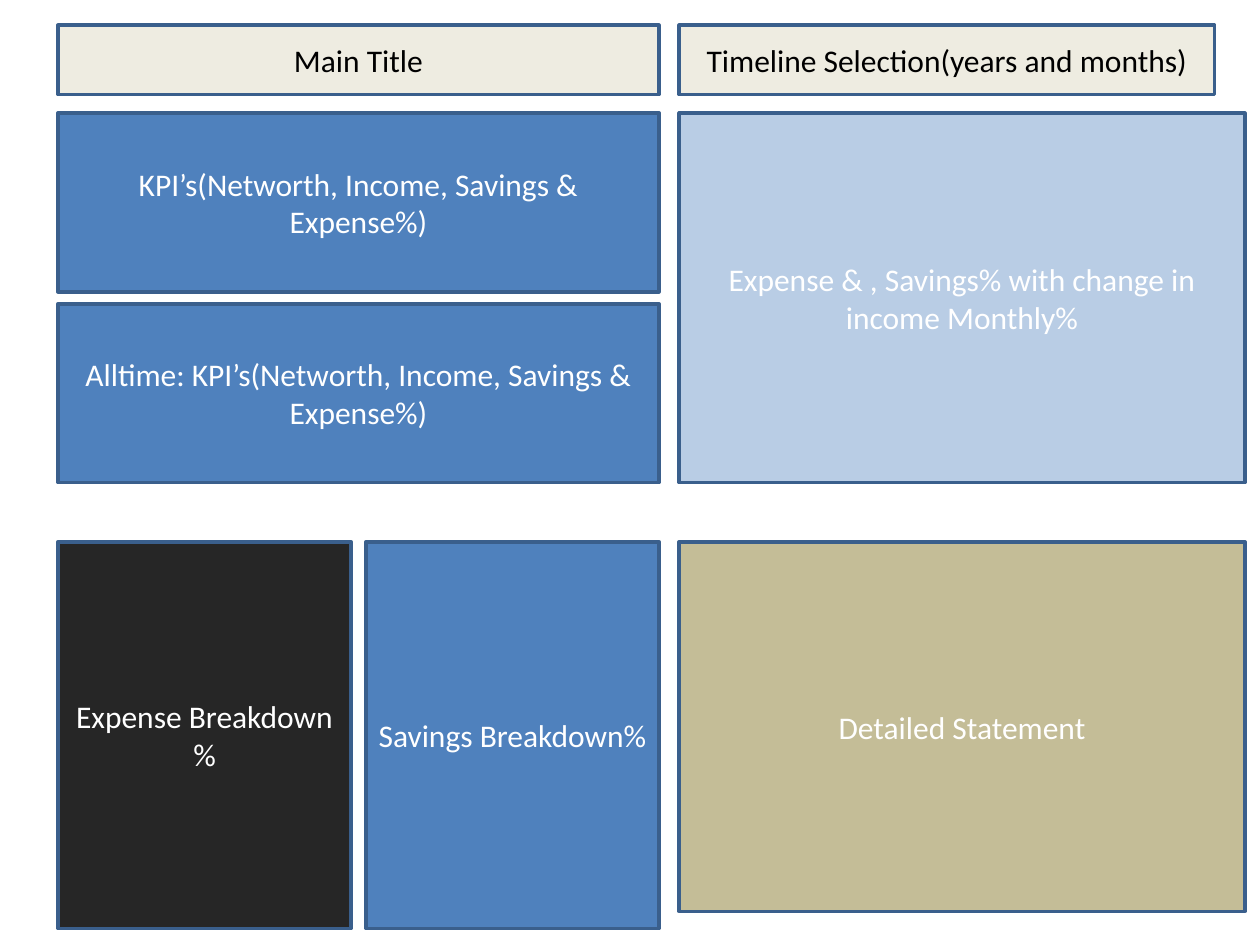
from collections import namedtuple
from dataclasses import dataclass

from pptx import Presentation
from pptx.dml.color import RGBColor
from pptx.enum.shapes import MSO_SHAPE as Shape
from pptx.enum.text import MSO_ANCHOR as Anchor, PP_ALIGN as Align
from pptx.util import Pt

Box = namedtuple("Box", "left top width height")


@dataclass(frozen=True)
class Theme:
    """Colours and type sizes of the dashboard plan."""
    cream: str = "EEECE1"
    blue: str = "4F81BD"
    pale_blue: str = "B9CDE5"
    charcoal: str = "262626"
    tan: str = "C4BD97"
    border: str = "3A5F8C"
    white: str = "FFFFFF"
    black: str = "000000"
    font: str = "Calibri"
    text_size: float = 18
    border_width: float = 2


THEME = Theme()


def add_panel(page, box, text, fill, color=THEME.white):
    """Add a bordered rectangle with centred text."""
    panel = page.shapes.add_shape(Shape.RECTANGLE, *map(Pt, box))
    panel.shadow.inherit = False
    panel.fill.solid()
    panel.fill.fore_color.rgb = RGBColor.from_string(fill)
    panel.line.color.rgb = RGBColor.from_string(THEME.border)
    panel.line.width = Pt(THEME.border_width)
    frame = panel.text_frame
    for name, value in {"word_wrap": True, "vertical_anchor": Anchor.MIDDLE}.items():
        setattr(frame, name, value)
    para = frame.paragraphs[0]
    para.alignment = Align.CENTER
    span = para.add_run()
    span.text = text
    for name, value in {"name": THEME.font, "size": Pt(THEME.text_size)}.items():
        setattr(span.font, name, value)
    span.font.color.rgb = RGBColor.from_string(color)


def add_header(page, box, gap, title_width):
    """Place the title and the timeline selection side by side."""
    timeline_left = box.left + title_width + gap
    timeline_width = box.width - title_width - gap
    add_panel(page, box._replace(width=title_width), "Main Title", THEME.cream, THEME.black)
    add_panel(page, box._replace(left=timeline_left, width=timeline_width),
              "Timeline Selection(years and months)", THEME.cream, THEME.black)


def add_kpis(page, box, gap):
    """Stack the two KPI panels at equal height."""
    height = (box.height - gap) / 2
    labels = ("KPI’s(Networth, Income, Savings & Expense%)",
              "Alltime: KPI’s(Networth, Income, Savings & Expense%)")
    for row, label in enumerate(labels):
        top = box.top + row * (height + gap)
        add_panel(page, box._replace(top=top, height=height), label, THEME.blue)


def add_breakdowns(page, box, gap):
    """Set the two breakdown panels side by side at equal width."""
    width = (box.width - gap) / 2
    panels = (("Expense Breakdown %", THEME.charcoal),
              ("Savings Breakdown%", THEME.blue))
    for column, (label, fill) in enumerate(panels):
        left = box.left + column * (width + gap)
        add_panel(page, box._replace(left=left, width=width), label, fill)


def add_details(page, box, gap):
    """Stack the trend and statement panels at equal height."""
    height = (box.height - gap) / 2
    panels = (("Expense & , Savings% with change in income Monthly%", THEME.pale_blue),
              ("Detailed Statement", THEME.tan))
    for row, (label, fill) in enumerate(panels):
        top = box.top + row * (height + gap)
        add_panel(page, box._replace(top=top, height=height), label, fill)


def main():
    """Build the dashboard plan and save it."""
    deck = Presentation()
    deck.slide_width, deck.slide_height = Pt(720), Pt(540)
    page = deck.slides.add_slide(deck.slide_layouts[6])
    left, width, gutter = 33.1, 343.5, 11.5
    right = left + width + gutter
    upper_top, upper_height, lower_top = 64.6, 211.2, 309.6
    add_header(page, Box(left, 14.4, 661, 39.6), gutter, width)
    add_kpis(page, Box(left, upper_top, width, upper_height), 6.8)
    add_breakdowns(page, Box(left, lower_top, width, 221), 8.5)
    row_gap = lower_top - upper_top - upper_height
    add_details(page, Box(right, upper_top, 323.3, 2 * upper_height + row_gap), row_gap)
    deck.save("out.pptx")


if __name__ == "__main__":
    main()
